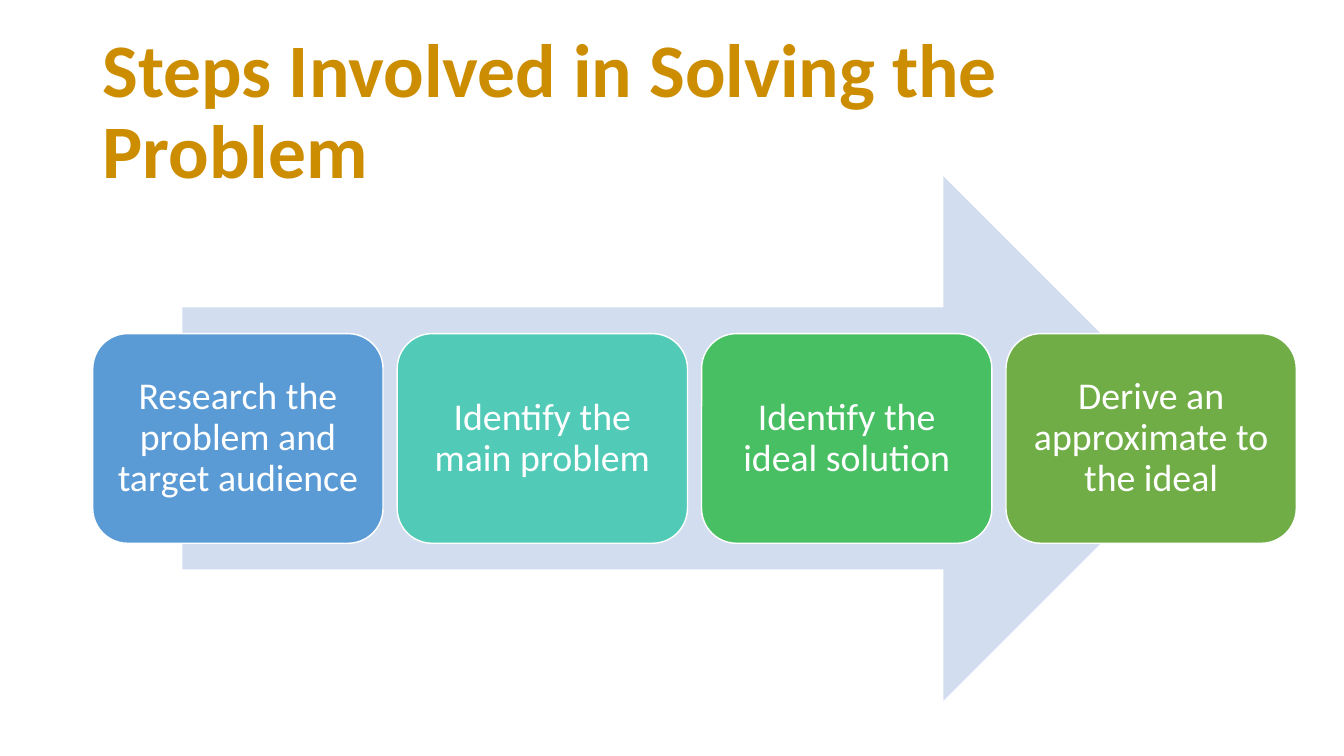
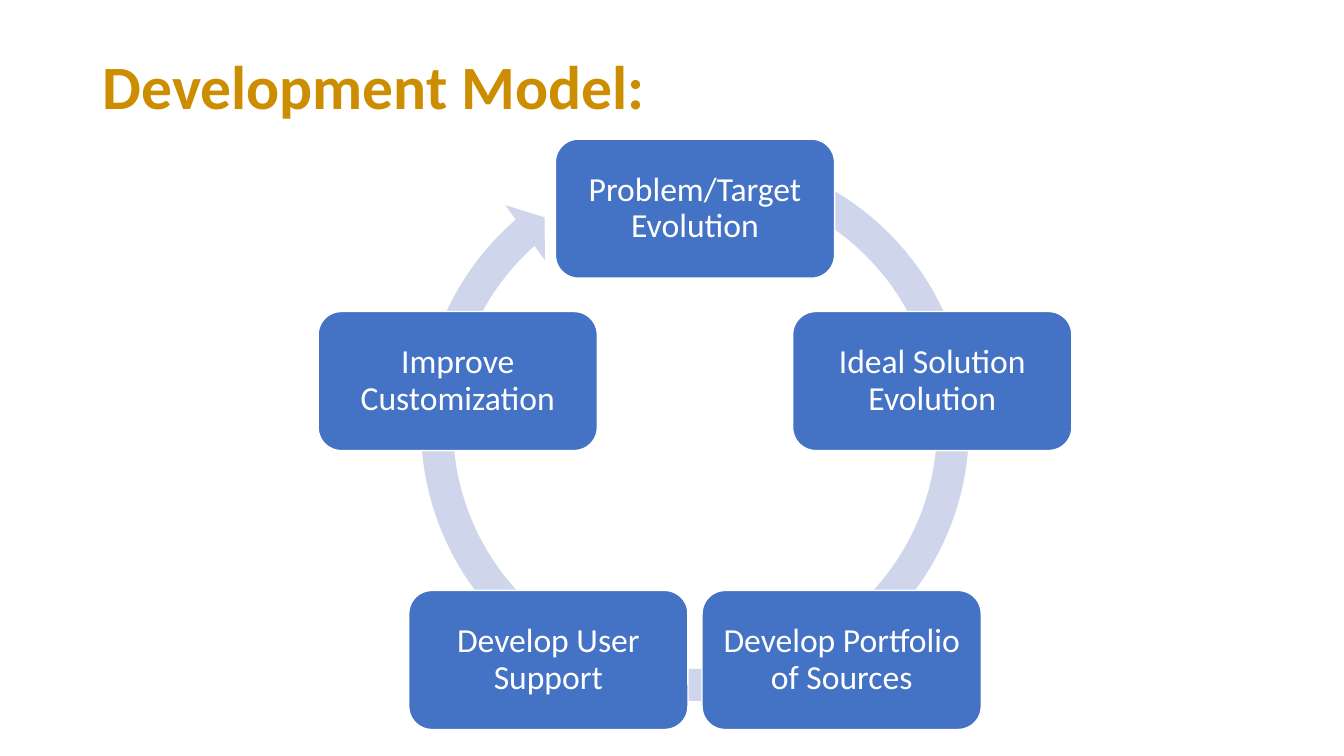
import math

import pptx
import pptx.dml.color
import pptx.enum.shapes
import pptx.enum.text
import pptx.util

SHAPES = pptx.enum.shapes.MSO_SHAPE
ANCHOR = pptx.enum.text.MSO_ANCHOR
ALIGN = pptx.enum.text.PP_ALIGN

# The grid has square cells of a tenth of an inch.
CELL = 0.1
COLUMNS, ROWS = 133.33, 75
BLANK_LAYOUT = 6


def cells(count):
    return pptx.util.Inches(count * CELL)


def color(value):
    return pptx.dml.color.RGBColor.from_string(value)


def apply(target, formats):
    """Set every attribute named in formats on target."""
    for name, value in formats.items():
        setattr(target, name, value)


class Deck:
    font = "Calibri"
    gold = "CC8D00"
    white = "FFFFFF"
    margin = 9.2
    title_top = 4
    title_width = 115
    line_spacing = 0.9

    def __init__(self):
        self.presentation = pptx.Presentation()
        apply(self.presentation, {"slide_width": cells(COLUMNS), "slide_height": cells(ROWS)})
        self.slide = None

    def new_slide(self, title, size, height):
        layout = self.presentation.slide_layouts[BLANK_LAYOUT]
        self.slide = self.presentation.slides.add_slide(layout)
        area = (self.margin, self.title_top, self.title_width, height)
        box = self.slide.shapes.add_textbox(*map(cells, area))
        self.label(box, title, size, self.gold, ALIGN.LEFT, bold=True)

    def label(self, shape, text, size, text_color, alignment, bold=False):
        apply(shape.text_frame, {"word_wrap": True, "vertical_anchor": ANCHOR.MIDDLE})
        paragraph = shape.text_frame.paragraphs[0]
        apply(paragraph, {"alignment": alignment, "line_spacing": self.line_spacing})
        run = paragraph.add_run()
        run.text = text
        apply(run.font, {"name": self.font, "size": pptx.util.Pt(size), "bold": bold})
        run.font.color.rgb = color(text_color)

    def shape(self, kind, area, fill, adjustments=()):
        """Add a filled shape without outline; area is left, top, width, height."""
        shape = self.slide.shapes.add_shape(kind, *map(cells, area))
        shape.shadow.inherit = False
        shape.fill.solid()
        shape.fill.fore_color.rgb = color(fill)
        shape.line.fill.background()
        for index, value in enumerate(adjustments):
            shape.adjustments[index] = value
        return shape

    def card(self, area, fill, text, size, inset):
        """Add a rounded box with a thin white outline and centred text."""
        card = self.shape(SHAPES.ROUNDED_RECTANGLE, area, fill)
        card.line.color.rgb = color(self.white)
        card.line.width = pptx.util.Pt(1)
        sides = ("left", "top", "right", "bottom")
        apply(card.text_frame, {f"margin_{side}": cells(inset) for side in sides})
        self.label(card, text, size, self.white, ALIGN.CENTER)


def add_steps_slide(deck):
    steps = [
        ("Research the problem and target audience", "5B9BD5"),
        ("Identify the main problem", "52CAB8"),
        ("Identify the ideal solution", "49BF64"),
        ("Derive an approximate to the ideal", "70AD47"),
    ]
    width, height, gap = 28.8, 20.8, 1.4
    arrow_top, arrow_height = 17.5, 52
    top = arrow_top + (arrow_height - height) / 2

    deck.new_slide("Steps Involved in Solving the Problem", 54, 14.5)
    deck.shape(SHAPES.RIGHT_ARROW, (18.1, arrow_top, 101.5, arrow_height), "D2DEEF")
    for index, (text, fill) in enumerate(steps):
        left = deck.margin + index * (width + gap)
        deck.card((left, top, width, height), fill, text, 27, 1.1)


def add_cycle_slide(deck):
    stages = [
        "Problem/Target Evolution",
        "Ideal Solution Evolution",
        "Develop Portfolio of Sources",
        "Develop User Support",
        "Improve Customization",
    ]
    center_x, center_y, radius = 68.95, 45.45, 24.75
    width, height = 27.7, 13.8
    ring = 57.9

    deck.new_slide("Development Model:", 44, 9.8)
    deck.shape(
        SHAPES.CIRCULAR_ARROW,
        (center_x - ring / 2, 13.4, ring, ring),
        "CFD5EA",
        (0.055, 3.307, 137.293, 174.144, 0.058),
    )
    for index, text in enumerate(stages):
        angle = math.tau * index / len(stages)
        left = center_x + radius * math.sin(angle) - width / 2
        top = center_y - radius * math.cos(angle) - height / 2
        deck.card((left, top, width, height), "4472C4", text, 24, 1)


def main():
    deck = Deck()
    add_steps_slide(deck)
    add_cycle_slide(deck)
    deck.presentation.save("out.pptx")


if __name__ == "__main__":
    main()
